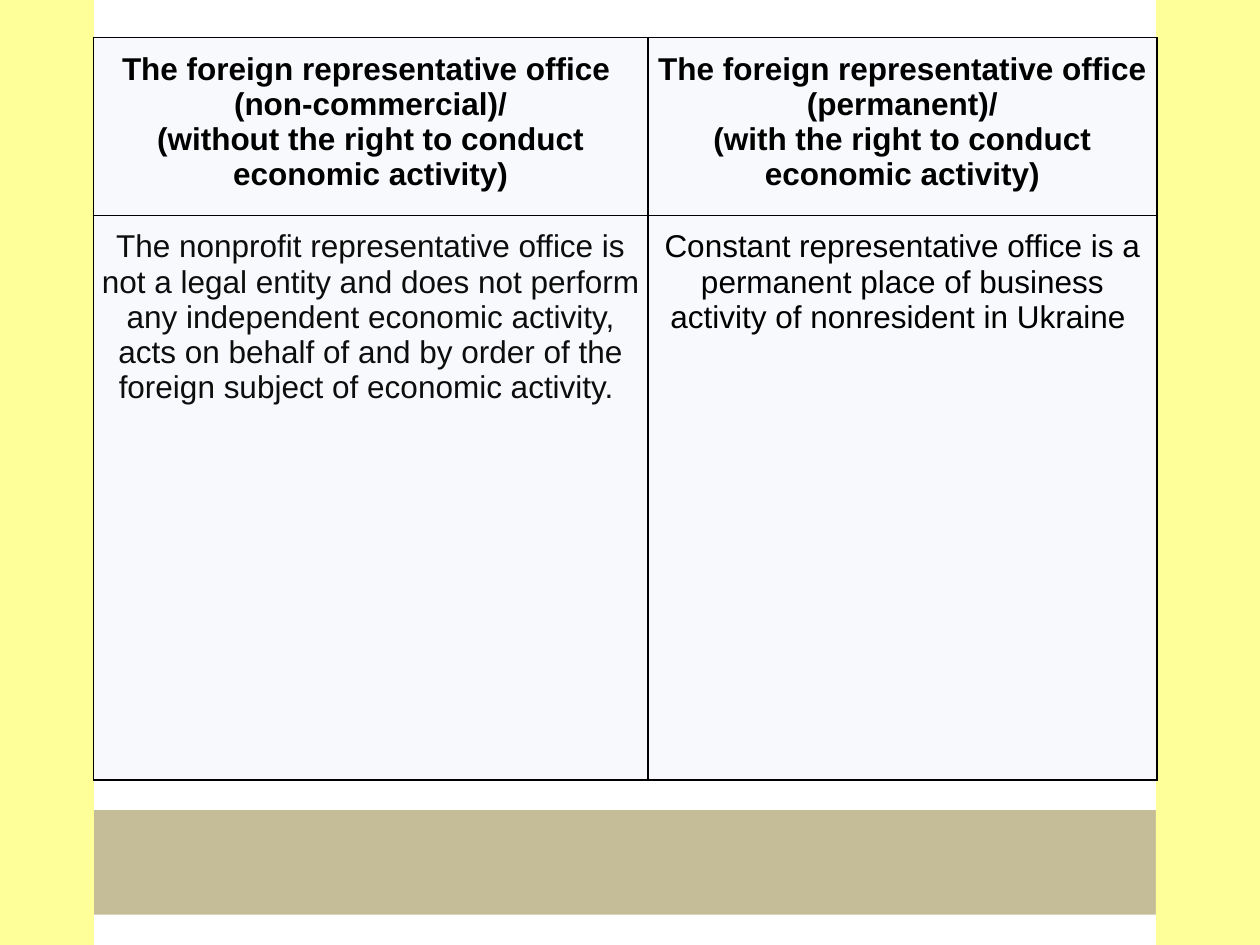
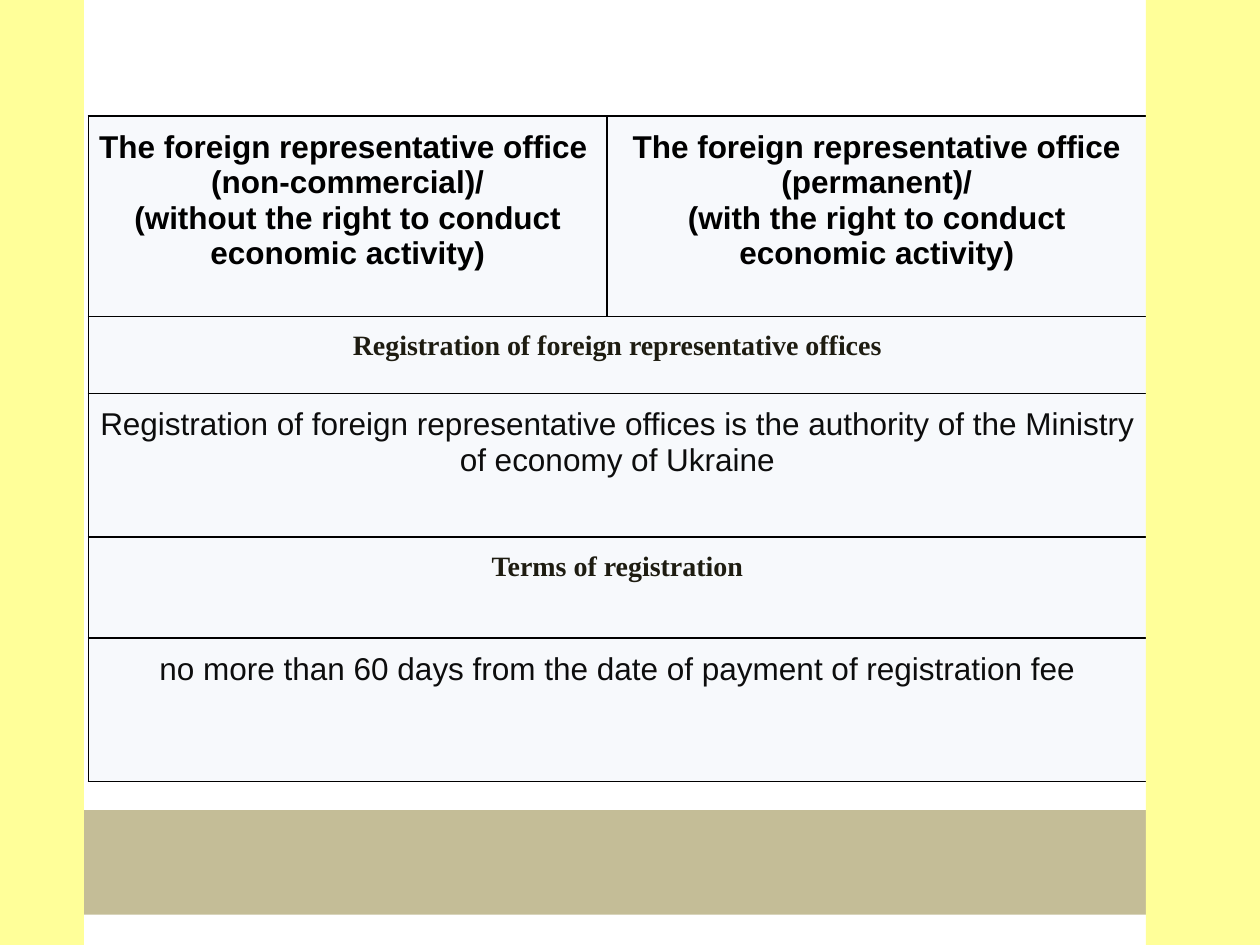
import pptx
import pptx.util
import pptx.dml.color
import pptx.enum.shapes
import pptx.enum.text
import pptx.oxml.ns
from lxml import etree

Cm = pptx.util.Cm
Pt = pptx.util.Pt
RGB = pptx.dml.color.RGBColor

BLACK = RGB(0x00, 0x00, 0x00)
INK = RGB(0x0D, 0x0D, 0x0D)
BROWN = RGB(0x1E, 0x1C, 0x11)
PALE = RGB(0xF7, 0xF9, 0xFC)
TAN = RGB(0xC4, 0xBD, 0x97)
YELLOW = RGB(0xFF, 0xFF, 0x99)

# Text styles: font, size, bold, colour
HEAD = ("Arial", 18, True, BLACK)
TOPIC = ("Times New Roman", 16, True, BROWN)
BODY = ("Arial", 18, False, INK)
PLAIN = ("Arial", 18, False, BLACK)

OFFICES = [
    (["The foreign representative office ",
      "(non-commercial)/",
      "(without the right to conduct economic activity)"], HEAD),
    (["The foreign representative office (permanent)/",
      "(with the right to conduct economic activity)"], HEAD),
]


def add_band(slide, left, top, width, height, fill, turn=0):
    band = slide.shapes.add_shape(
        pptx.enum.shapes.MSO_SHAPE.RECTANGLE,
        Cm(left), Cm(top), Cm(width), Cm(height))
    band.shadow.inherit = False
    band.rotation = turn
    band.fill.solid()
    band.fill.fore_color.rgb = fill
    band.line.fill.background()


def add_side(slide, left, top=7.32):
    """Yellow strip down one edge: a long bar on a quarter turn."""
    add_band(slide, left, top, 27.2, 3.2, YELLOW, 90)


def add_base(slide):
    add_band(slide, -1.75, 16.33, 28.6, 2.11, TAN)


def frame_cell(cell):
    """Black 1 pt line on all four sides."""
    props = cell._tc.get_or_add_tcPr()
    for side in ("lnL", "lnR", "lnT", "lnB"):
        line = etree.SubElement(
            props, pptx.oxml.ns.qn("a:" + side), w=str(Pt(1)))
        fill = etree.SubElement(line, pptx.oxml.ns.qn("a:solidFill"))
        etree.SubElement(
            fill, pptx.oxml.ns.qn("a:srgbClr"), val=str(BLACK))


def style_cell(cell):
    frame_cell(cell)
    cell.fill.solid()
    cell.fill.fore_color.rgb = PALE
    cell.margin_left = cell.margin_right = Cm(0.1)
    cell.margin_top = cell.margin_bottom = Cm(0.28)


def write_cell(cell, lines, style):
    name, size, bold, colour = style
    cell.text = "\n".join(lines)
    for para in cell.text_frame.paragraphs:
        para.alignment = pptx.enum.text.PP_ALIGN.CENTER
        para.font.name = name
        para.font.size = Pt(size)
        para.font.bold = bold
        para.font.color.rgb = colour


def add_grid(slide, left, top, widths, heights, rows):
    """Table of (lines, style) cells; a row with one cell spans the width."""
    table = slide.shapes.add_table(
        len(heights), len(widths), Cm(left), Cm(top),
        Cm(sum(widths)), Cm(sum(heights))).table
    table.first_row = table.horz_banding = False
    for col, width in zip(table.columns, widths):
        col.width = Cm(width)
    for row, height in zip(table.rows, heights):
        row.height = Cm(height)
    for cell in table.iter_cells():
        style_cell(cell)
    for r, row in enumerate(rows):
        if len(row) == 1:
            table.cell(r, 0).merge(table.cell(r, len(widths) - 1))
        for c, (lines, style) in enumerate(row):
            write_cell(table.cell(r, c), lines, style)


def add_status(slide):
    add_base(slide)
    add_side(slide, 11.3)
    add_side(slide, -13.31)
    add_grid(slide, 1.88, 0.76, [11.18, 10.26], [3.58, 11.38], [
        OFFICES,
        [(["The nonprofit representative office is not a legal entity and "
           "does not perform any independent economic activity, acts on "
           "behalf of and by order of the foreign subject of economic "
           "activity. "], BODY),
         (["Constant representative office is a permanent place of business "
           "activity of nonresident in Ukraine "], PLAIN)],
    ])


def add_terms(slide):
    add_base(slide)
    add_grid(slide, 1.78, 2.34, [10.46, 10.87], [4.04, 1.55, 2.9, 2.03, 2.9], [
        OFFICES,
        [(["Registration of foreign representative offices"], TOPIC)],
        [(["Registration of foreign representative offices is the authority "
           "of the Ministry of economy of Ukraine"], BODY)],
        [(["Terms of registration"], TOPIC)],
        [(["no more than 60 days from the date of payment of registration "
           "fee"], BODY)],
    ])
    add_side(slide, -13.51)
    add_side(slide, 11.1, 7.75)


def main():
    deck = pptx.Presentation()
    deck.slide_width = Cm(25.4)
    deck.slide_height = Cm(19.05)
    blank = deck.slide_layouts[6]
    for build in (add_status, add_terms):
        build(deck.slides.add_slide(blank))
    deck.save("out.pptx")


if __name__ == "__main__":
    main()
